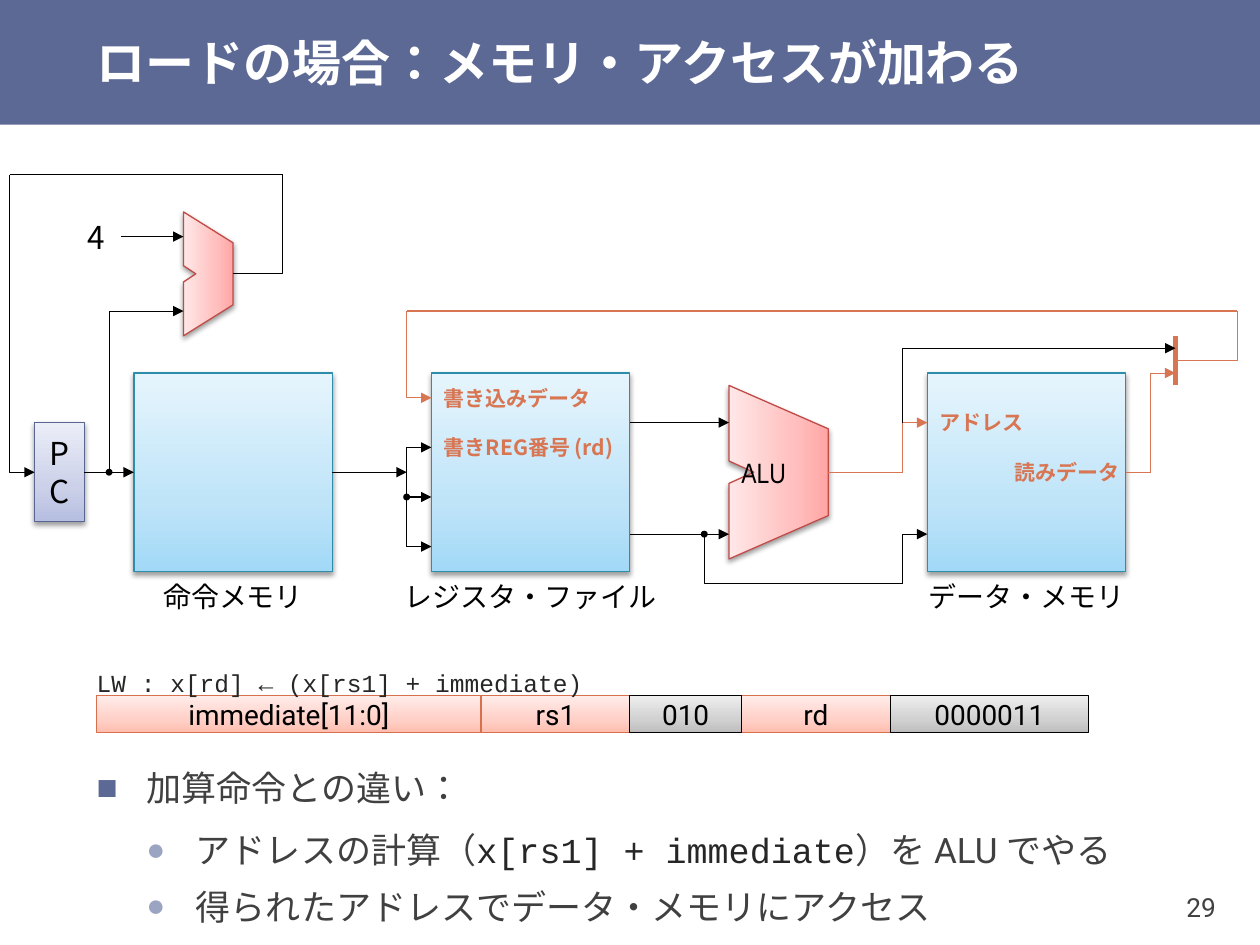
from copy import deepcopy

from lxml import etree
from pptx import Presentation
from pptx.dml.color import RGBColor
from pptx.enum.lang import MSO_LANGUAGE_ID
from pptx.enum.shapes import MSO_CONNECTOR, MSO_SHAPE
from pptx.enum.text import MSO_ANCHOR, PP_ALIGN
from pptx.oxml.ns import qn
from pptx.util import Pt

RECT = MSO_SHAPE.RECTANGLE
LINE = MSO_CONNECTOR.STRAIGHT
MID = MSO_ANCHOR.MIDDLE
JAPAN = MSO_LANGUAGE_ID.JAPANESE
LEFT, MIDDLE, RIGHT = PP_ALIGN.LEFT, PP_ALIGN.CENTER, PP_ALIGN.RIGHT

BLACK = RGBColor(0, 0, 0)
WHITE = RGBColor(0xFF, 0xFF, 0xFF)
DARK = RGBColor(0x40, 0x40, 0x40)
CODE = RGBColor(0x26, 0x26, 0x26)
NAVY = RGBColor(0x5C, 0x69, 0x94)
ORANGE = RGBColor(0xD8, 0x75, 0x52)
RUST = RGBColor(0xD7, 0x71, 0x4D)
TEAL = RGBColor(0x2E, 0x8D, 0xAB)
RED = RGBColor(0xBF, 0x4C, 0x48)
SLATE = RGBColor(0x59, 0x66, 0x92)
# Gradient stops, dark to light
BLUES = [RGBColor(0xA2, 0xD9, 0xF7), RGBColor(0xBF, 0xE4, 0xF8), RGBColor(0xE6, 0xF5, 0xFD)]
REDS = [RGBColor(0xFF, 0xA6, 0xA5), RGBColor(0xFF, 0xC0, 0xBF), RGBColor(0xFF, 0xE7, 0xE7)]
LILACS = [RGBColor(0xB6, 0xBE, 0xE1), RGBColor(0xCC, 0xD1, 0xE9), RGBColor(0xEB, 0xED, 0xF7)]
PEACH = [RGBColor(0xFF, 0xBE, 0xB0), RGBColor(0xFF, 0xD0, 0xC7), RGBColor(0xFF, 0xED, 0xEA)]
GRAYS = [RGBColor(0xBD, 0xBD, 0xBD), RGBColor(0xD1, 0xD1, 0xD1), RGBColor(0xEE, 0xEE, 0xEE)]

SANS, NOTO, MONO = "Roboto", "Noto Sans CJK JP", "Courier New"
# Diagram grid: origin and step
X0, Y0, U = 5.67, 99.8, 14.17


def paint(shape, shades, edge, angle=90, shadow=True):
    """Three-stop gradient, thin outline and soft shadow."""
    shape.fill.gradient()
    shape.fill.gradient_angle = angle
    stops = shape._element.spPr.find(".//" + qn("a:gsLst"))
    stops.insert(1, deepcopy(stops[0]))
    for stop, shade, pos in zip(shape.fill.gradient_stops, shades, (0, 0.35, 1)):
        stop.color.rgb = shade
        stop.position = pos
    shape.line.color.rgb = edge
    shape.line.width = Pt(0.75)
    shape.shadow.inherit = False
    if shadow:
        effects = shape._element.spPr.find(qn("a:effectLst"))
        outer = etree.SubElement(effects, qn("a:outerShdw"), blurRad=str(Pt(3.1)),
                                 dist=str(Pt(1.6)), dir="5400000", rotWithShape="0")
        tint = etree.SubElement(outer, qn("a:srgbClr"), val="000000")
        etree.SubElement(tint, qn("a:alpha"), val="38000")


def style(frame, font, size, color, align=LEFT, inset=7.2, wrap=False, bold=False):
    """Set the frame and every run in it."""
    frame.word_wrap = wrap
    frame.vertical_anchor = MID
    frame.margin_left = frame.margin_right = Pt(inset)
    frame.margin_top = frame.margin_bottom = 0
    for para in frame.paragraphs:
        para.alignment = align
        for run in para.runs:
            run.font.name = font
            run.font.size = Pt(size)
            run.font.bold = bold
            run.font.color.rgb = color
            run.font.language_id = JAPAN
            etree.SubElement(run._r.rPr, qn("a:ea"), typeface=font)


prs = Presentation()
prs.slide_width, prs.slide_height = Pt(720), Pt(540)
slide = prs.slides.add_slide(prs.slide_layouts[6])
shapes = slide.shapes

# Title bar, title and page number
bar = shapes.add_shape(RECT, 0, 0, Pt(720), Pt(71.3))
bar.fill.solid()
bar.fill.fore_color.rgb = NAVY
bar.line.fill.background()
bar.shadow.inherit = False
title = shapes.add_textbox(Pt(48.2), 0, Pt(671.8), Pt(71.3)).text_frame
title.text = "ロードの場合：メモリ・アクセスが加わる"
style(title, SANS, 28, WHITE, wrap=True, bold=True)
page = shapes.add_textbox(Pt(643.7), Pt(497), Pt(56.7), Pt(43)).text_frame
page.text = "29"
style(page, SANS, 15, DARK, RIGHT, 5.5)

# Bullets
body = shapes.add_textbox(Pt(48.2), Pt(454.3), Pt(652.3), Pt(56.7)).text_frame
points = [
    (["加算命令との違い："], 28.35, "■", "5C6994", 100, 0, 6),
    (["アドレスの計算（", "x[rs1] + immediate", "）を ALU でやる"],
     56.7, "●", "9BA4C1", 90, 3, 3),
    (["得られたアドレスでデータ・メモリにアクセス"], 56.7, "●", "9BA4C1", 90, 3, 3),
]
for i, (parts, left, mark, tint, scale, before, after) in enumerate(points):
    para = body.add_paragraph() if i else body.paragraphs[0]
    props = para._p.get_or_add_pPr()
    props.set("marL", str(Pt(left)))
    props.set("indent", str(-Pt(28.35)))
    color = etree.SubElement(props, qn("a:buClr"))
    etree.SubElement(color, qn("a:srgbClr"), val=tint)
    etree.SubElement(props, qn("a:buSzPct"), val=str(scale * 1000))
    etree.SubElement(props, qn("a:buFont"), typeface="Arial")
    etree.SubElement(props, qn("a:buChar"), char=mark)
    para.line_spacing = 1.1
    para.space_before, para.space_after = Pt(before), Pt(after)
    for part in parts:
        para.add_run().text = part
style(body, SANS, 20, DARK, wrap=True)
code = body.paragraphs[1].runs[1]
code.font.name = MONO
code.font.color.rgb = CODE

# Memories, register file and program counter
blocks = []
for x, y, w, h, shades, edge in [
    (5, 8, 8, 8, BLUES, TEAL),
    (17, 8, 8, 8, BLUES, TEAL),
    (37, 8, 8, 8, BLUES, TEAL),
    (1, 10, 2, 4, LILACS, SLATE),
]:
    block = shapes.add_shape(RECT, Pt(X0 + x * U), Pt(Y0 + y * U), Pt(w * U), Pt(h * U))
    paint(block, shades, edge)
    blocks.append(block)
imem, regs, dmem, pc = blocks
pc.text_frame.text = "PC"
style(pc.text_frame, NOTO, 18, BLACK, MIDDLE, wrap=True)

# Adder and ALU: notched trapezoids, symmetric about their middle
for x, mid, w, half, side, notch, depth, name in [
    (7, 4, 2, 2.5, 1.25, 0.33, 0.5, ""),
    (29, 12, 4, 3.5, 1.75, 0.45, 1, "ALU"),
]:
    outline = [(0, -half), (w, -side), (w, side), (0, half),
               (0, notch), (depth, 0), (0, -notch)]
    spots = [(Pt(X0 + (x + dx) * U), Pt(Y0 + (mid + dy) * U)) for dx, dy in outline]
    form = shapes.build_freeform(*spots[0], scale=1)
    form.add_line_segments(spots[1:], close=True)
    unit = form.convert_to_shape()
    paint(unit, REDS, RED, angle=180)
    if name:
        unit.text_frame.text = name
        style(unit.text_frame, "Arial Narrow", 16, BLACK, MIDDLE, 0)
        unit.text_frame.margin_right = Pt(17)

# Wires: grid points, colour, head, tail, joined blocks, width
ARROW, DOT = "triangle", "oval"
wires = [
    ([(3, 12), (5, 12)], BLACK, None, ARROW, pc, imem, 0.75),
    ([(4, 12), (4, 5.5), (7, 5.5)], BLACK, DOT, ARROW, None, None, 0.5),
    ([(4.5, 2.5), (7, 2.5)], BLACK, None, ARROW, None, None, 0.75),
    ([(0, 0), (0, 12), (1, 12)], BLACK, None, ARROW, None, None, 0.5),
    ([(9, 4), (11, 4), (11, 0)], BLACK, None, None, None, None, 0.5),
    ([(0, 0), (11, 0)], BLACK, None, None, None, None, 0.75),
    ([(13, 12), (16, 12)], BLACK, None, ARROW, imem, None, 0.75),
    ([(16, 15), (16, 11), (17, 11)], BLACK, None, ARROW, None, None, 0.5),
    ([(16, 13), (17, 13)], BLACK, DOT, ARROW, None, None, 0.75),
    ([(16, 15), (17, 15)], BLACK, None, ARROW, None, None, 0.75),
    ([(16, 5.5), (16, 9), (17, 9)], ORANGE, None, ARROW, None, None, 0.5),
    ([(46, 12), (46, 8), (47, 8)], ORANGE, None, ARROW, None, None, 0.5),
    ([(45, 12), (46, 12)], ORANGE, None, None, dmem, None, 0.75),
    ([(33, 12), (36, 12)], ORANGE, None, None, None, None, 0.75),
    ([(25, 10), (29, 10)], BLACK, None, ARROW, None, None, 0.75),
    ([(25, 14.5), (29, 14.5)], BLACK, None, ARROW, None, None, 0.75),
    ([(28, 14.5), (28, 16.5), (36, 16.5)], BLACK, DOT, None, None, None, 0.5),
    ([(36, 16.5), (36, 14.5), (37, 14.5)], BLACK, None, ARROW, None, None, 0.5),
    ([(36, 12), (36, 10), (37, 10)], ORANGE, None, ARROW, None, None, 0.5),
    ([(47, 6.5), (47, 8.5)], ORANGE, None, None, None, None, 3),
    ([(49.5, 5.5), (16, 5.5)], ORANGE, None, None, None, None, 0.75),
    ([(36, 10), (36, 7), (47, 7)], BLACK, None, ARROW, None, None, 0.5),
    ([(47, 7.5), (49.5, 7.5), (49.5, 5.5)], ORANGE, None, None, None, None, 0.5),
]
for route, color, head, tail, start, end, width in wires:
    spots = [(Pt(X0 + x * U), Pt(Y0 + y * U)) for x, y in route]
    if len(spots) == 2:
        wire = shapes.add_connector(LINE, *spots[0], *spots[1])
        etree.SubElement(wire._element.spPr, qn("a:effectLst"))
        if start:
            wire.begin_connect(start, 3)
        if end:
            wire.end_connect(end, 1)
    else:
        form = shapes.build_freeform(*spots[0], scale=1)
        form.add_line_segments(spots[1:], close=False)
        wire = form.convert_to_shape()
        wire.fill.background()
        wire.shadow.inherit = False
    wire.line.color.rgb = color
    wire.line.width = Pt(width)
    for tag, kind in (("a:headEnd", head), ("a:tailEnd", tail)):
        if kind:
            size = "sm" if kind == DOT else "med"
            etree.SubElement(wire.line._ln, qn(tag), type=kind, w=size, len=size)

# Instruction fields
for x, w, text, shades, edge in [
    (3.5, 15.5, "immediate[11:0]", PEACH, RUST),
    (19, 6, "rs1", PEACH, RUST),
    (29.5, 6, "rd", PEACH, RUST),
    (25, 4.5, "010", GRAYS, BLACK),
    (35.5, 8, "0000011", GRAYS, BLACK),
]:
    field = shapes.add_shape(RECT, Pt(X0 + x * U), Pt(Y0 + 21 * U), Pt(w * U), Pt(1.5 * U))
    paint(field, shades, edge, shadow=False)
    field.text_frame.text = text
    style(field.text_frame, SANS, 16, BLACK, MIDDLE)

# Labels
PORT = (NOTO, 12, ORANGE, LEFT, 7.2, False, True)
NAME = (NOTO, 16, BLACK, MIDDLE, 0)
for x, y, w, text, look in [
    (17, 8, 9, "書き込みデータ", PORT),
    (17, 10, 9, "書きREG番号 (rd)", PORT),
    (37, 9, 6, "アドレス", PORT),
    (40, 11, 6, "読みデータ", PORT),
    (4, 16, 10, "命令メモリ", NAME),
    (15.5, 16, 11, "レジスタ・ファイル", NAME),
    (36, 16, 10, "データ・メモリ", NAME),
    (2.5, 1.5, 2, "4", (NOTO, 18, BLACK, MIDDLE)),
    (3, 19.5, 22, "LW : x[rd] ← (x[rs1] + immediate)", (MONO, 14, CODE)),
]:
    label = shapes.add_textbox(Pt(X0 + x * U), Pt(Y0 + y * U), Pt(w * U), Pt(2 * U)).text_frame
    label.text = text
    style(label, *look)

prs.save("out.pptx")
